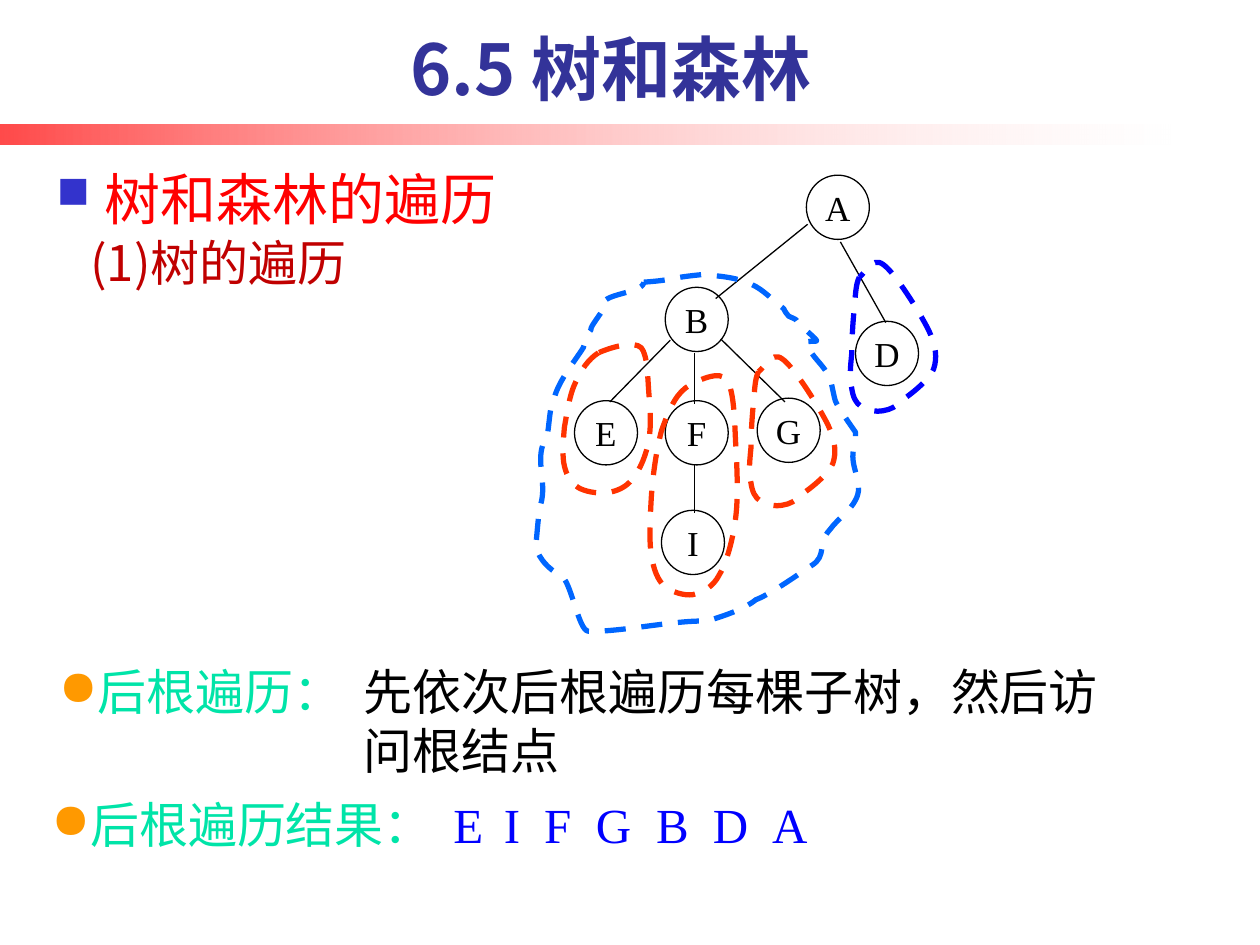
from pptx import Presentation
from pptx.dml.color import RGBColor
from pptx.enum.dml import MSO_LINE
from pptx.enum.shapes import MSO_CONNECTOR, MSO_SHAPE
from pptx.enum.text import MSO_ANCHOR as ANCHOR, PP_ALIGN as ALIGN
from pptx.oxml import parse_xml
from pptx.oxml.ns import nsdecls, qn
from pptx.util import Inches, Pt

COLORS = {
    "black": "000000", "white": "FFFFFF", "title": "333399", "topic": "FF0000",
    "subtopic": "C00000", "label": "00E4A8", "result": "0000FF", "dot": "FF9900",
    "square": "3333CC", "loop_b": "0066FF", "loop_leaf": "FF3300",
}
CJK, LATIN = "Noto Sans CJK SC", "Times New Roman"

# Loop outlines: a start point, then three Bezier points per curve, in 1/100 inch
LOOP_B = [
    (88, 6), (115, 4), (104, 3), (134, 0), (147, 1), (162, 2), (174, 8),
    (183, 12), (191, 21), (199, 27), (200, 29), (201, 31), (203, 33),
    (205, 34), (208, 35), (209, 36), (211, 40), (223, 49), (225, 52),
    (227, 54), (215, 52), (217, 54), (221, 66), (231, 71), (236, 83),
    (237, 86), (239, 97), (240, 100), (241, 104), (256, 125), (256, 125),
    (256, 135), (255, 132), (254, 142), (253, 156), (263, 166), (256, 179),
    (252, 187), (242, 194), (236, 202), (225, 214), (234, 223), (221, 231),
    (212, 237), (188, 254), (177, 258), (167, 266), (151, 271), (138, 275),
    (113, 274), (68, 284), (44, 283), (36, 283), (30, 241), (22, 239),
    (12, 233), (6, 227), (2, 216), (3, 212), (4, 191), (6, 183),
    (12, 164), (0, 145), (11, 129), (13, 122), (13, 104), (17, 98),
    (20, 85), (33, 69), (40, 58), (42, 52), (42, 49), (46, 44),
    (45, 41), (58, 27), (56, 25), (52, 15), (88, 15), (88, 6),
]
LOOP_E = [
    (29, 10), (21, 15), (15, 24), (11, 33), (6, 43), (4, 58), (2, 69),
    (1, 80), (0, 92), (2, 100), (4, 108), (7, 113), (13, 117),
    (18, 120), (28, 122), (36, 121), (43, 120), (51, 117), (56, 110),
    (62, 103), (67, 91), (69, 79), (71, 68), (70, 54), (69, 42),
    (68, 29), (68, 12), (63, 6), (57, 0), (38, 6), (29, 10),
]
LOOP_F = [
    (29, 15), (20, 22), (15, 35), (10, 49), (6, 64), (3, 85), (2, 101),
    (1, 118), (0, 136), (2, 148), (4, 160), (7, 167), (12, 172),
    (18, 177), (28, 180), (35, 179), (43, 177), (51, 173), (56, 163),
    (62, 153), (67, 134), (69, 117), (71, 100), (70, 79), (69, 61),
    (68, 43), (68, 18), (62, 9), (57, 0), (38, 9), (29, 15),
]
LOOP_LEAF = [
    (8, 17), (5, 23), (5, 32), (4, 42), (3, 52), (2, 67), (2, 78),
    (1, 88), (0, 98), (2, 105), (3, 112), (5, 117), (10, 120),
    (14, 123), (22, 124), (27, 123), (33, 122), (37, 120), (43, 114),
    (50, 109), (63, 99), (67, 90), (70, 81), (69, 72), (63, 59),
    (56, 45), (36, 13), (27, 7), (18, 0), (12, 15), (8, 17),
]


def color(name):
    """Return the named colour."""
    return RGBColor.from_string(COLORS[name])


def write(shape, text, size, font, color_name, bold=False, align=ALIGN.LEFT,
          anchor=ANCHOR.TOP, wrap=True):
    """Write one run of text into a shape and return its paragraph."""
    frame = shape.text_frame
    frame.word_wrap, frame.vertical_anchor = wrap, anchor
    paragraph = frame.paragraphs[0]
    paragraph.alignment = align
    run = paragraph.add_run()
    run.text = text
    run.font.size, run.font.name, run.font.bold = Pt(size), font, bold
    run.font.color.rgb = color(color_name)
    run.font._element.append(parse_xml(f'<a:ea {nsdecls("a")} typeface="{font}"/>'))
    return paragraph


def add_text(slide, box, text, size, font, color_name, **options):
    """Add a text box at box and return its paragraph."""
    shape = slide.shapes.add_textbox(*map(Inches, box))
    return write(shape, text, size, font, color_name, **options)


def add_bullet(paragraph, char, color_name, percent=100, indent=0):
    """Give a paragraph a coloured bullet with a hanging indent."""
    properties = paragraph._p.get_or_add_pPr()
    properties.set("marL", str(Inches(indent)))
    properties.set("indent", str(-Inches(indent)))
    for xml in (f'<a:buClr {nsdecls("a")}><a:srgbClr val="{COLORS[color_name]}"/></a:buClr>',
                f'<a:buSzPct {nsdecls("a")} val="{percent * 1000}"/>',
                f'<a:buChar {nsdecls("a")} char="{char}"/>'):
        properties.append(parse_xml(xml))


def add_band(slide, box):
    """Add the red band that fades out to the right."""
    band = slide.shapes.add_shape(MSO_SHAPE.RECTANGLE, *map(Inches, box))
    band.shadow.inherit = False
    band.line.fill.background()
    band.fill.gradient()
    band.fill.gradient_angle = 0
    for stop, name, alpha in zip(band.fill.gradient_stops, ("topic", "white"), (71, 18)):
        stop.color.rgb = color(name)
        stop.color._xFill.find(qn("a:srgbClr")).append(
            parse_xml(f'<a:alpha {nsdecls("a")} val="{alpha * 1000}"/>'))


def add_label(slide, box, text):
    """Add a white label with a round bullet."""
    label = slide.shapes.add_shape(MSO_SHAPE.RECTANGLE, *map(Inches, box))
    label.shadow.inherit = False
    label.fill.solid()
    label.fill.fore_color.rgb = color("white")
    label.line.fill.background()
    add_bullet(write(label, text, 28, CJK, "label"), "●", "dot")


def add_node(slide, left, top, letter):
    """Add one tree node."""
    node = slide.shapes.add_shape(MSO_SHAPE.OVAL, Inches(left), Inches(top),
                                  Inches(0.5), Inches(0.51))
    node.shadow.inherit = False
    node.fill.background()
    node.line.color.rgb, node.line.width = color("black"), Pt(0.75)
    write(node, letter, 20, LATIN, "black", align=ALIGN.CENTER,
          anchor=ANCHOR.MIDDLE, wrap=False)


def add_edge(slide, *ends):
    """Add one tree edge between two points."""
    edge = slide.shapes.add_connector(MSO_CONNECTOR.STRAIGHT, *map(Inches, ends))
    edge.line.color.rgb, edge.line.width = color("black"), Pt(0.75)
    edge._element.spPr.append(parse_xml(f'<a:effectLst {nsdecls("a")}/>'))


def add_loop(slide, left, top, points, color_name):
    """Add a dashed closed curve around a subtree."""
    builder = slide.shapes.build_freeform(*points[0], scale=Inches(0.01))
    builder.add_line_segments(points[1:], close=True)
    loop = builder.convert_to_shape(Inches(left), Inches(top))
    lines = list(loop._element.iter(qn("a:lnTo")))
    for first in range(0, len(points) - 1, 3):
        curve = parse_xml(f'<a:cubicBezTo {nsdecls("a")}/>')
        lines[first].addprevious(curve)
        for line in lines[first:first + 3]:
            curve.append(line[0])
    for line in lines:
        line.getparent().remove(line)
    loop.shadow.inherit = False
    loop.fill.background()
    loop.line.color.rgb, loop.line.width = color(color_name), Pt(3)
    loop.line.dash_style = MSO_LINE.DASH


def add_tree(slide, left, top):
    """Add the tree with its subtree loops."""
    for letter, x, y in (("A", 2.17, 0), ("B", 1.05, 0.89), ("D", 2.56, 1.16),
                         ("E", 0.33, 1.79), ("F", 1.05, 1.79), ("G", 1.78, 1.77),
                         ("I", 1.02, 2.66)):
        add_node(slide, left + x, top + y, letter)
    for x1, y1, x2, y2 in ((2.44, 0.53, 2.8, 1.17), (2.18, 0.39, 1.45, 0.98),
                           (1.28, 1.41, 1.28, 1.82), (1.09, 1.31, 0.61, 1.8),
                           (1.49, 1.3, 2, 1.8), (1.28, 2.3, 1.28, 2.68)):
        add_edge(slide, left + x1, top + y1, left + x2, top + y2)
    for x, y, points, name in ((0, 0.79, LOOP_B, "loop_b"),
                               (0.23, 1.31, LOOP_E, "loop_leaf"),
                               (1.71, 1.39, LOOP_LEAF, "loop_leaf"),
                               (0.92, 1.54, LOOP_F, "loop_leaf"),
                               (2.51, 0.64, LOOP_LEAF, "result")):
        add_loop(slide, left + x, top + y, points, name)


def add_headings(slide, left, top):
    """Add the slide title, the topic and the subtopic."""
    add_text(slide, (left + 0.24, top, 8.52, 0.71), "6.5 树和森林", 40, CJK, "title",
             bold=True, align=ALIGN.CENTER, anchor=ANCHOR.BOTTOM)
    topic = add_text(slide, (left, top + 0.97, 4.02, 0.71), "树和森林的遍历", 32, CJK,
                     "topic", anchor=ANCHOR.BOTTOM)
    topic.line_spacing = 1.15
    add_bullet(topic, "■", "square", 80, 0.38)
    add_text(slide, (left + 0.27, top + 1.59, 5.4, 0.57), "(1)树的遍历", 28, CJK, "subtopic")


def add_traversal(slide, left, top):
    """Add the traversal rule and the resulting order of nodes."""
    add_label(slide, (left + 0.06, top, 2.64, 0.57), "后根遍历：")
    add_text(slide, (left + 2.48, top, 6.33, 1.04),
             "先依次后根遍历每棵子树，然后访问根结点", 28, CJK, "black")
    add_label(slide, (left, top + 1.06, 3.11, 0.57), "后根遍历结果：")
    for letter, x, width in (("E", 3.19, 0.42), ("I", 3.59, 0.33), ("F", 3.91, 0.42),
                             ("G", 4.32, 0.49), ("B", 4.8, 0.46), ("D", 5.25, 0.49),
                             ("A", 5.72, 0.49)):
        add_text(slide, (left + x, top + 1.06, width, 0.57), letter, 28, LATIN, "result",
                 wrap=False)


presentation = Presentation()
presentation.slide_width, presentation.slide_height = Inches(10), Inches(7.5)
slide = presentation.slides.add_slide(presentation.slide_layouts[6])
add_band(slide, (0, 0.99, 9.29, 0.16))
add_tree(slide, 4.23, 1.39)
add_headings(slide, 0.35, 0.21)
add_traversal(slide, 0.31, 5.2)
presentation.save("out.pptx")
